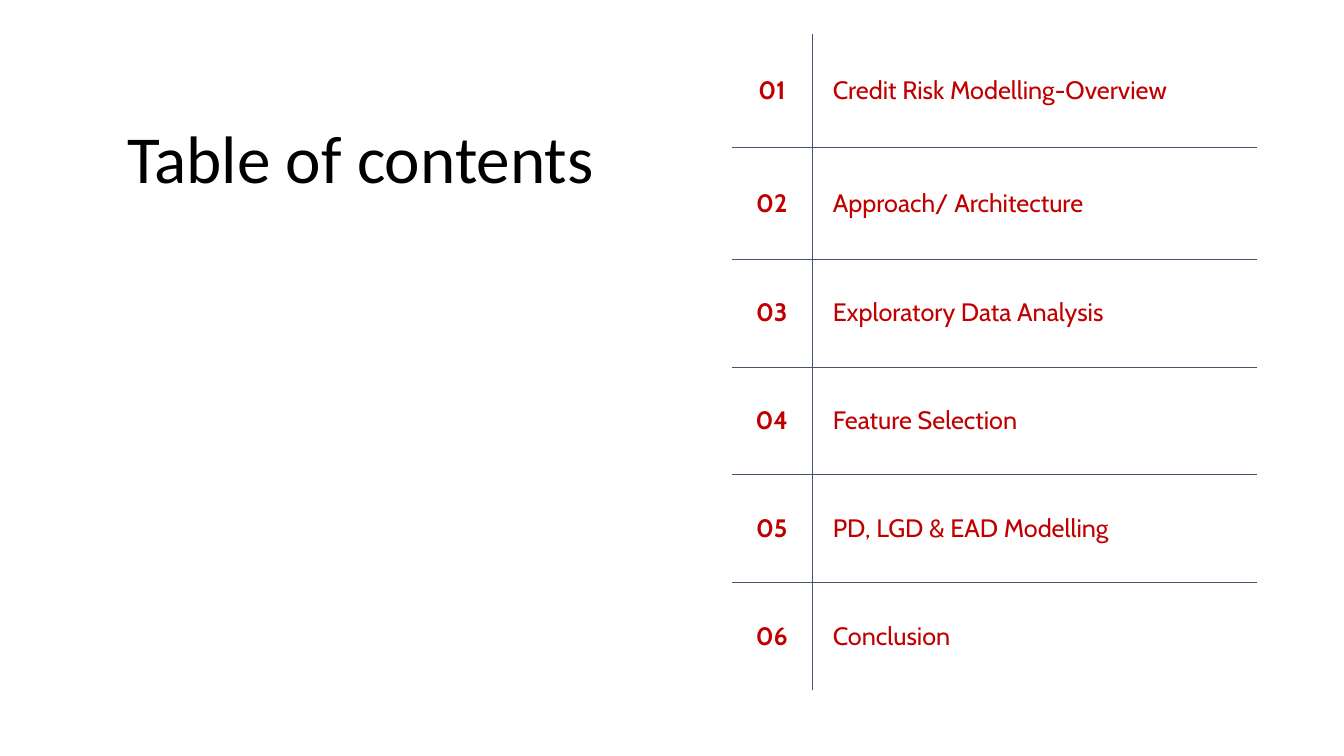
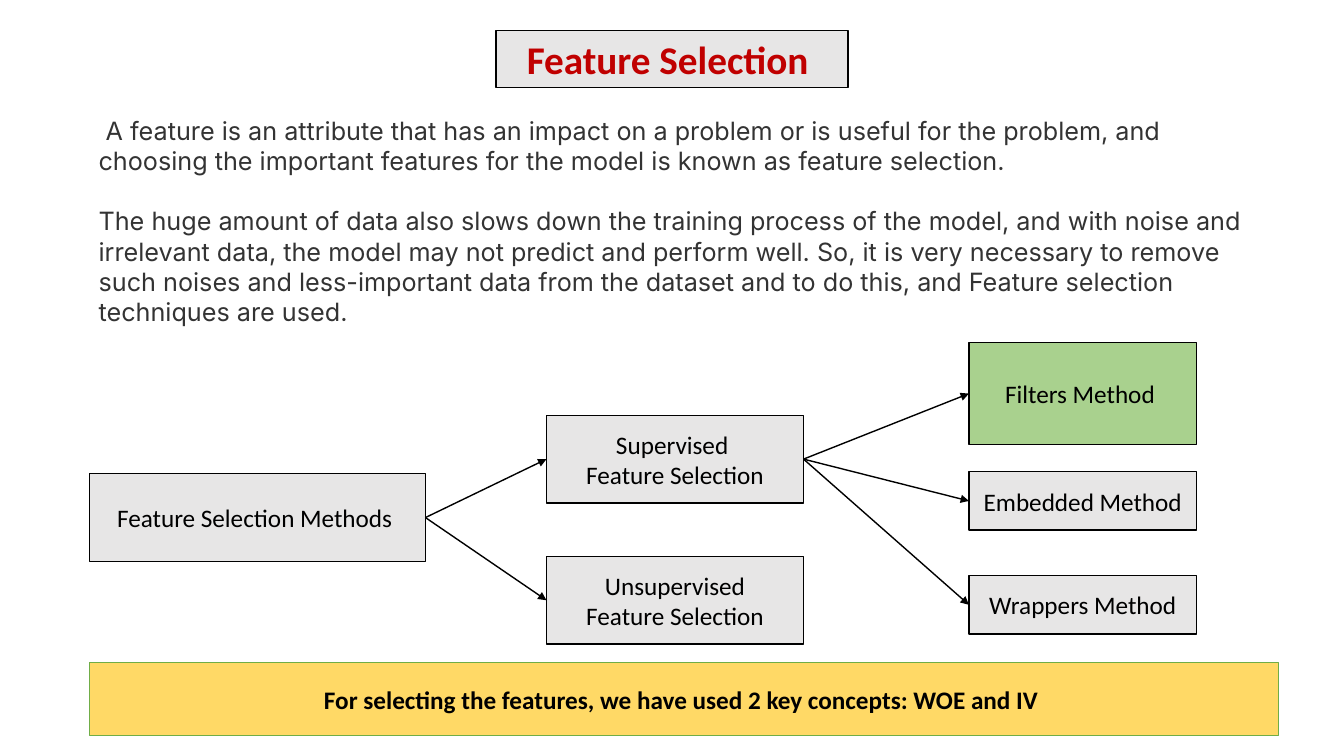
"""Build a contents slide and a feature selection slide."""
from dataclasses import dataclass

from lxml.etree import SubElement
from pptx import Presentation
from pptx.dml.color import RGBColor
from pptx.enum.shapes import MSO_CONNECTOR as Connector, MSO_SHAPE as Preset
from pptx.enum.text import MSO_ANCHOR as Anchor, MSO_AUTO_SIZE as AutoSize, PP_ALIGN as Align
from pptx.oxml import parse_xml
from pptx.oxml.ns import nsdecls, qn
from pptx.util import Inches, Pt


@dataclass(frozen=True)
class Theme:
    black: str = "000000"
    red: str = "C00000"
    gray: str = "E7E6E6"
    green: str = "A9D18E"
    yellow: str = "FFD966"
    banner_edge: str = "70AD47"
    rule: str = "44546A"
    body: str = "333333"
    main_font: str = "Calibri"
    list_font: str = "Cabin"
    body_font: str = "Inter"
    text_size: int = 18
    heading_size: int = 28
    title_size: int = 48
    body_gap: float = 21.6
    edge_width: float = 1
    rule_width: float = 0.5


THEME = Theme()
SLIDE_SIZE = (13.33, 7.5)

CONTENTS_TITLE = "Table of contents"
CONTENTS = [
    "Credit Risk Modelling-Overview",
    "Approach/ Architecture",
    "Exploratory Data Analysis",
    "Feature Selection",
    "PD, LGD & EAD Modelling",
    "Conclusion",
]
CONTENTS_AREA = (7.26, 0.34, 5.21, 6.53)
CONTENTS_COLUMNS = (0.8, 4.41)
CONTENTS_ROWS = (1.12, 1.11) + (1.07,) * 4
CELL_LEFT_MARGINS = (0.09, 0.2)

FEATURE_TITLE = "Feature Selection "
FEATURE_TEXT = [
    " A feature is an attribute that has an impact on a problem or is useful for the problem, "
    "and choosing the important features for the model is known as feature selection.",
    "The huge amount of data also slows down the training process of the model, and with noise "
    "and irrelevant data, the model may not predict and perform well. So, it is very necessary "
    "to remove such noises and less-important data from the dataset and to do this, and Feature "
    "selection techniques are used.",
]
BANNER = "For selecting the features, we have used 2 key concepts: WOE and IV "

TREE_COLUMNS = [(0.89, 3.33), (5.42, 2.55), (9.61, 2.26)]
TREE = {
    "methods": (["Feature Selection Methods "], 0, 4.7, 0.87, THEME.gray),
    "supervised": (["Supervised ", "Feature Selection"], 1, 4.12, 0.87, THEME.gray),
    "unsupervised": (["Unsupervised", "Feature Selection"], 1, 5.52, 0.87, THEME.gray),
    "filters": (["Filters Method "], 2, 3.4, 1.01, THEME.green),
    "embedded": (["Embedded Method"], 2, 4.68, 0.58, THEME.gray),
    "wrappers": (["Wrappers Method"], 2, 5.71, 0.58, THEME.gray),
}
BRANCHES = {
    "methods": ["supervised", "unsupervised"],
    "supervised": ["filters", "embedded", "wrappers"],
}
RIGHT_SITE, LEFT_SITE = 3, 1


def color(value):
    return RGBColor.from_string(value)


def lengths(values):
    return [Inches(value) for value in values]


def write(frame, lines, size=THEME.text_size, font=THEME.main_font, fill=THEME.black,
          bold=False, align=Align.CENTER, anchor=Anchor.MIDDLE, gap=0):
    """Write one paragraph per line with a shared format."""
    frame.word_wrap = True
    frame.vertical_anchor = anchor
    for index, line in enumerate(lines):
        paragraph = frame.add_paragraph() if index else frame.paragraphs[0]
        paragraph.alignment = align
        paragraph.space_before = Pt(gap if index else 0)
        run = paragraph.add_run()
        run.text = line
        run.font.size, run.font.name, run.font.bold = Pt(size), font, bold
        run.font.color.rgb = color(fill)


def paint(shape, fill, edge=THEME.black):
    shape.fill.solid()
    shape.fill.fore_color.rgb = color(fill)
    shape.line.color.rgb = color(edge)
    shape.line.width = Pt(THEME.edge_width)


def add_box(slide, area, lines, fill, edge=THEME.black, **text_format):
    shape = slide.shapes.add_shape(Preset.RECTANGLE, *lengths(area))
    shape.shadow.inherit = False
    paint(shape, fill, edge)
    write(shape.text_frame, lines, **text_format)
    return shape


def add_titled_slide(presentation, title, area, **text_format):
    slide = presentation.slides.add_slide(presentation.slide_layouts[5])
    shape = slide.shapes.title
    shape.left, shape.top, shape.width, shape.height = lengths(area)
    write(shape.text_frame, [title], **text_format)
    shape.text_frame.auto_size = AutoSize.NONE
    return slide


def add_arrow(slide, source, target):
    arrow = slide.shapes.add_connector(Connector.STRAIGHT, 0, 0, 0, 0)
    arrow.begin_connect(source, RIGHT_SITE)
    arrow.end_connect(target, LEFT_SITE)
    arrow.line.color.rgb = color(THEME.black)
    arrow.line.width = Pt(THEME.edge_width)
    SubElement(arrow.line._get_or_add_ln(), qn("a:tailEnd"), type="triangle")
    SubElement(arrow._element.spPr, qn("a:effectLst"))


def set_borders(cell, sides):
    """Draw the named sides of a cell and hide the others."""
    cell.fill.background()
    properties = cell._tc.get_or_add_tcPr()
    for index, side in enumerate("LRTB"):
        paint_xml = (f'<a:solidFill><a:srgbClr val="{THEME.rule}"/></a:solidFill>'
                     if side in sides else "<a:noFill/>")
        properties.insert(index, parse_xml(
            f'<a:ln{side} {nsdecls("a")} w="{Pt(THEME.rule_width)}">{paint_xml}</a:ln{side}>'))


def add_contents_table(slide):
    table = slide.shapes.add_table(len(CONTENTS), 2, *lengths(CONTENTS_AREA)).table
    table.first_row = table.horz_banding = False
    for column, width in zip(table.columns, CONTENTS_COLUMNS):
        column.width = Inches(width)
    for index, (topic, height) in enumerate(zip(CONTENTS, CONTENTS_ROWS)):
        table.rows[index].height = Inches(height)
        rules = ("T" if index else "") + ("B" if index < len(CONTENTS) - 1 else "")
        entries = [(f"{index + 1:02}", Align.CENTER, "R"), (topic, Align.LEFT, "L")]
        for column, (text, align, inner_side) in enumerate(entries):
            cell = table.cell(index, column)
            cell.margin_left = Inches(CELL_LEFT_MARGINS[column])
            write(cell.text_frame, [text], font=THEME.list_font, fill=THEME.red,
                  bold=column == 0, align=align)
            cell.vertical_anchor = Anchor.MIDDLE
            set_borders(cell, rules + inner_side)


def build_contents(presentation):
    slide = add_titled_slide(presentation, CONTENTS_TITLE, (1.16, 1.1, 5.82, 0.91),
                             size=THEME.title_size, align=Align.LEFT, anchor=Anchor.TOP)
    add_contents_table(slide)


def build_feature_selection(presentation):
    slide = add_titled_slide(presentation, FEATURE_TITLE, (4.92, 0.3, 3.49, 0.57),
                             size=THEME.heading_size, fill=THEME.red, bold=True)
    paint(slide.shapes.title, THEME.gray)
    body = slide.shapes.add_textbox(*lengths((0.88, 1.13, 11.6, 2.12)))
    write(body.text_frame, FEATURE_TEXT, font=THEME.body_font, fill=THEME.body,
          align=Align.LEFT, gap=THEME.body_gap)
    boxes = {}
    for name, (lines, column, top, height, fill) in TREE.items():
        left, width = TREE_COLUMNS[column]
        boxes[name] = add_box(slide, (left, top, width, height), lines, fill)
    for source, targets in BRANCHES.items():
        for target in targets:
            add_arrow(slide, boxes[source], boxes[target])
    add_box(slide, (0.89, 6.57, 11.79, 0.73), [BANNER], THEME.yellow,
            edge=THEME.banner_edge, bold=True)


def main():
    presentation = Presentation()
    presentation.slide_width, presentation.slide_height = lengths(SLIDE_SIZE)
    build_contents(presentation)
    build_feature_selection(presentation)
    presentation.save("out.pptx")


if __name__ == "__main__":
    main()
